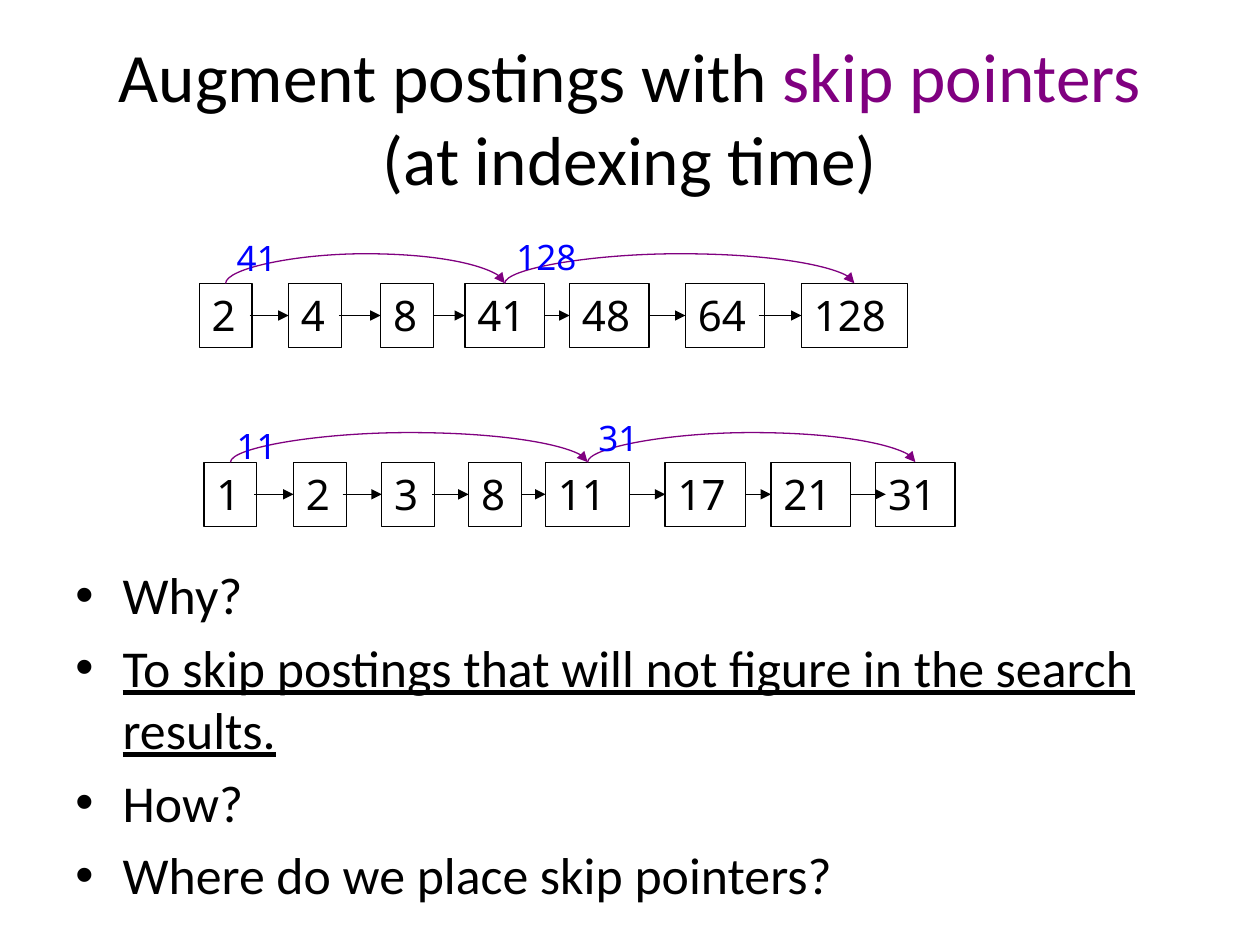
from dataclasses import dataclass
from pptx import Presentation
from pptx.dml.color import RGBColor
from pptx.enum.shapes import MSO_CONNECTOR as Link, MSO_SHAPE as Preset
from pptx.enum.text import MSO_ANCHOR as Anchor, PP_ALIGN as Align
from pptx.oxml.ns import qn
from pptx.util import Pt
from lxml.etree import SubElement


@dataclass(frozen=True)
class Theme:
    ink: str = "000000"
    skip: str = "800080"
    label: str = "0000FF"
    text_font: str = "Calibri"
    node_font: str = "Noto Sans"
    title_size: float = 39.6
    body_size: float = 29.6
    node_size: float = 24
    label_size: float = 20
    line: float = 0.75


THEME = Theme()
NODE_HEIGHT = 36.6
SKIP_RISE = 18
SKIP_DEPTH = 0.12


def write(paragraph, text, *, size, color=THEME.ink, font=THEME.text_font, underline=False):
    run = paragraph.add_run()
    run.text = text
    run.font.size = Pt(size)
    run.font.name = font
    run.font.color.rgb = RGBColor.from_string(color)
    if underline:
        run.font.underline = True


def add_frame(slide, left, top, width, height):
    frame = slide.shapes.add_textbox(Pt(left), Pt(top), Pt(width), Pt(height)).text_frame
    frame.word_wrap = True
    return frame


def add_title(slide, left, top, width, height, parts):
    frame = add_frame(slide, left, top, width, height)
    frame.vertical_anchor = Anchor.MIDDLE
    heading = frame.paragraphs[0]
    heading.alignment = Align.CENTER
    for text, color in parts:
        write(heading, text, size=THEME.title_size, color=color)


def add_bullets(slide, left, top, width, height, items):
    frame = add_frame(slide, left, top, width, height)
    for index, (text, underline) in enumerate(items):
        item = frame.add_paragraph() if index else frame.paragraphs[0]
        item.space_before = Pt(6)
        properties = item._p.get_or_add_pPr()
        properties.set("marL", str(Pt(27)))
        properties.set("indent", str(Pt(-27)))
        SubElement(properties, qn("a:buFont"), typeface="Arial")
        SubElement(properties, qn("a:buChar"), char="•")
        write(item, text, size=THEME.body_size, underline=underline)


def add_arrow(slide, start, end, *, color=THEME.ink, kind=Link.STRAIGHT):
    arrow = slide.shapes.add_connector(kind, *(Pt(value) for value in (*start, *end)))
    arrow.line.color.rgb = RGBColor.from_string(color)
    arrow.line.width = Pt(THEME.line)
    SubElement(arrow.line._get_or_add_ln(), qn("a:tailEnd"), type="triangle")
    SubElement(arrow._element.spPr, qn("a:effectLst"))
    return arrow


def add_skip(slide, start_x, end_x, y):
    middle, reach = (start_x + end_x) / 2, (end_x - start_x) / 2
    skip = add_arrow(slide, (middle + SKIP_DEPTH / 2, y + reach),
                     (middle - SKIP_DEPTH / 2, y - reach), color=THEME.skip, kind=Link.CURVE)
    shape_props = skip._element.spPr
    shape_props.find(qn("a:xfrm")).set("rot", "5400000")
    guides = shape_props.find(qn("a:prstGeom")).get_or_add_avLst()
    bend = round(SKIP_RISE / SKIP_DEPTH * 100000)
    SubElement(guides, qn("a:gd"), name="adj1", fmla=f"val {bend}")


def add_node(slide, left, top, width, value):
    node = slide.shapes.add_shape(Preset.RECTANGLE, Pt(left), Pt(top), Pt(width), Pt(NODE_HEIGHT))
    node.shadow.inherit = False
    node.fill.background()
    node.line.color.rgb = RGBColor.from_string(THEME.ink)
    node.line.width = Pt(THEME.line)
    frame = node.text_frame
    frame.word_wrap = True
    frame.vertical_anchor = Anchor.TOP
    frame.paragraphs[0].alignment = Align.LEFT
    write(frame.paragraphs[0], value, size=THEME.node_size, font=THEME.node_font)


def add_postings(slide, left, top, nodes, skips, labels, last_overrun=0):
    for value, x, width, _ in nodes:
        add_node(slide, left + x, top, width, value)
    middle = top + NODE_HEIGHT / 2
    for (_, x, width, overlap), following in zip(nodes, nodes[1:]):
        overrun = last_overrun if following is nodes[-1] else 0
        add_arrow(slide, (left + x + width - overlap, middle),
                  (left + following[1] + overrun, middle))
    centres = {value: left + x + width / 2 for value, x, width, _ in nodes}
    for source, target in zip(skips, skips[1:]):
        add_skip(slide, centres[source], centres[target], top)
    for value, x, rise, width in labels:
        frame = add_frame(slide, left + x, top - rise, width, 31)
        write(frame.paragraphs[0], value, size=THEME.label_size,
              color=THEME.label, font=THEME.node_font)


def main():
    deck = Presentation()
    deck.slide_width, deck.slide_height = Pt(720), Pt(540)
    slide = deck.slides.add_slide(deck.slide_layouts[6])
    add_title(slide, 36, 21.6, 648, 90, [
        ("Augment postings with ", THEME.ink),
        ("skip pointers", THEME.skip),
        (" (at indexing time)", THEME.ink)])
    add_bullets(slide, 36, 318.2, 648, 198, [
        ("Why?", False),
        ("To skip postings that will not figure in the search results.", True),
        ("How?", False),
        ("Where do we place skip pointers?", False)])
    add_postings(
        slide, 113.8, 162,
        nodes=[("2", 0, 30.2, 1.4), ("4", 51.1, 30.2, 1.4), ("8", 103.7, 30.2, 0),
               ("41", 151.9, 45.4, 0), ("48", 211.7, 45.4, 0), ("64", 277.9, 45.4, 3.6),
               ("128", 344.2, 60.5, 0)],
        skips=["2", "41", "128"],
        labels=[("41", 14.4, 30.2, 40.3), ("128", 174.2, 31, 52.6)])
    add_postings(
        slide, 116.6, 264.2,
        nodes=[("1", 0, 30.2, 1.4), ("2", 51.1, 30.2, 2.1), ("3", 101.5, 30.2, 1.4),
               ("8", 151.2, 30.2, 0), ("11", 195.1, 48.2, 0), ("17", 263.5, 46.1, 0),
               ("21", 324, 45.4, 0), ("31", 383.8, 45.4, 0)],
        skips=["1", "11", "31"],
        labels=[("11", 11.5, 25.2, 40.3), ("31", 218.2, 29.5, 39.6)],
        last_overrun=5.8)
    deck.save("out.pptx")


if __name__ == "__main__":
    main()
